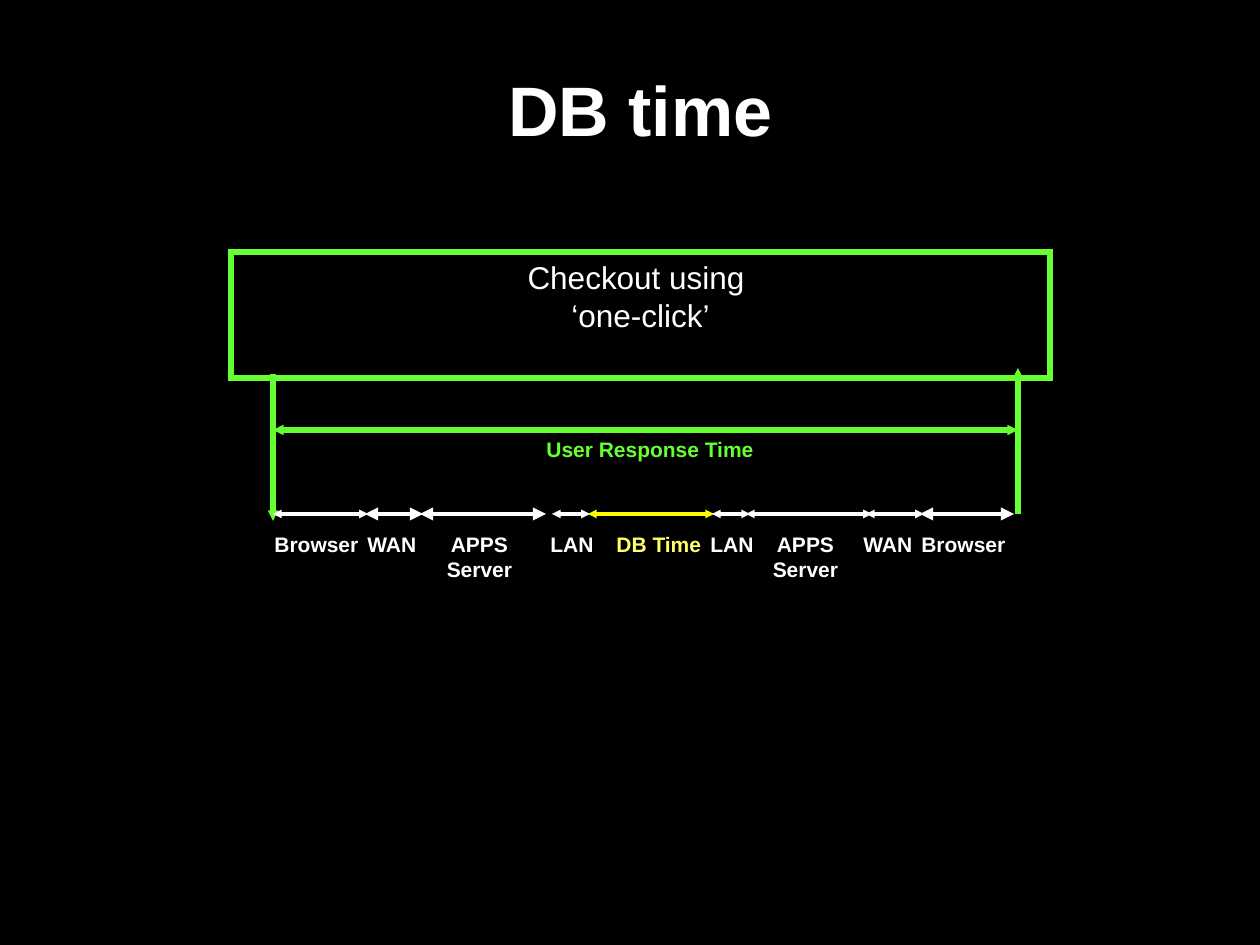
from dataclasses import dataclass

from lxml import etree
from pptx import Presentation
from pptx.dml.color import RGBColor
from pptx.enum.shapes import MSO_CONNECTOR, MSO_SHAPE
from pptx.enum.text import MSO_ANCHOR, MSO_AUTO_SIZE, PP_ALIGN
from pptx.oxml.ns import qn
from pptx.util import Pt

LEFT, CENTER = PP_ALIGN.LEFT, PP_ALIGN.CENTER
TOP, MIDDLE = MSO_ANCHOR.TOP, MSO_ANCHOR.MIDDLE
FIT_SHAPE = MSO_AUTO_SIZE.SHAPE_TO_FIT_TEXT
EMU_PER_PX = 914400 / 126


@dataclass(frozen=True)
class Theme:
    font: str = "Arial"
    black: RGBColor = RGBColor(0x00, 0x00, 0x00)
    white: RGBColor = RGBColor(0xFF, 0xFF, 0xFF)
    green: RGBColor = RGBColor(0x66, 0xFF, 0x33)
    yellow: RGBColor = RGBColor(0xFF, 0xFF, 0x00)
    pale_yellow: RGBColor = RGBColor(0xFF, 0xFF, 0x66)
    title_size: float = 40
    box_size: float = 18
    label_size: float = 12
    frame_line: float = 3
    segment_line: float = 2.5


THEME = Theme()

TITLE = "DB time"
REQUEST = "Checkout using \n‘one-click’"
RESPONSE = "User Response Time"
DB_LABEL = "DB Time"

# Label, arrow start, arrow end, label left, arrowhead size
SEGMENTS = [
    ("Browser", 273, 368, 262, "sm"),
    ("WAN", 365, 423, 355, "med"),
    ("APPS\nServer", 420, 546, 434, "med"),
    ("LAN", 552, 590, 538, "sm"),
    (DB_LABEL, 588, 714, 604, "sm"),
    ("LAN", 712, 750, 698, "sm"),
    ("APPS\nServer", 746, 872, 760, "sm"),
    ("WAN", 866, 924, 851, "sm"),
    ("Browser", 920, 1014, 909, "med"),
]
LABEL_WIDTHS = {"Browser": 110, "WAN": 76, "APPS\nServer": 91, "LAN": 68, DB_LABEL: 110}
LABEL_PADDING, LABEL_LINE = 13, 25

REQUEST_BOX = (231, 252, 819, 126)
TITLE_BOX = (168, 42, 945, 147)
RESPONSE_LABEL = (534, 430, 233, 38)
START_X, END_X = 273, 1018
RESPONSE_Y, SEGMENT_Y, LABEL_Y = 430, 514, 525


def px(value):
    return round(value * EMU_PER_PX)


def write(shape, text, size, color, bold=True, align=LEFT, anchor=TOP):
    frame = shape.text_frame
    frame.text = text
    frame.word_wrap = True
    frame.vertical_anchor = anchor
    for paragraph in frame.paragraphs:
        paragraph.alignment = align
        for run in paragraph.runs:
            run.font.name = THEME.font
            run.font.size = Pt(size)
            run.font.bold = bold
            run.font.color.rgb = color
    return frame


def add_label(slide, box, text, color, align=LEFT):
    """Add a small caption whose box grows with its unwrapped text."""
    label = slide.shapes.add_textbox(*map(px, box))
    frame = write(label, text, THEME.label_size, color, align=align)
    frame.word_wrap = False
    frame.auto_size = FIT_SHAPE


def add_arrow(slide, start, end, color, width, ends, head_size="sm"):
    """Draw a line; ends names the XML line ends that carry a triangle."""
    arrow = slide.shapes.add_connector(
        MSO_CONNECTOR.STRAIGHT, *map(px, (*start, *end)))
    arrow.line.color.rgb = color
    arrow.line.width = Pt(width)
    line = arrow.line._get_or_add_ln()
    for end_name in ends:
        etree.SubElement(line, qn(f"a:{end_name}"),
                         type="triangle", w=head_size, len=head_size)
    etree.SubElement(arrow._element.spPr, qn("a:effectLst"))


def add_request(slide):
    box = slide.shapes.add_shape(MSO_SHAPE.RECTANGLE, *map(px, REQUEST_BOX))
    box.shadow.inherit = False
    box.fill.background()
    box.line.color.rgb = THEME.green
    box.line.width = Pt(THEME.frame_line)
    etree.SubElement(box.line._get_or_add_ln(), qn("a:miter"), lim="800000")
    write(box, REQUEST, THEME.box_size, THEME.white, bold=False, align=CENTER)


def add_response(slide):
    arrows = [
        ((START_X, 374), (START_X, 521), ["tailEnd"]),
        ((END_X, 368), (END_X, SEGMENT_Y), ["headEnd"]),
        ((START_X, RESPONSE_Y), (END_X, RESPONSE_Y), ["headEnd", "tailEnd"]),
    ]
    for start, end, ends in arrows:
        add_arrow(slide, start, end, THEME.green, THEME.frame_line, ends)
    add_label(slide, RESPONSE_LABEL, RESPONSE, THEME.green)


def add_segments(slide):
    for label, start, end, left, head_size in SEGMENTS:
        is_db = label == DB_LABEL
        add_arrow(slide, (start, SEGMENT_Y), (end, SEGMENT_Y),
                  THEME.yellow if is_db else THEME.white,
                  THEME.segment_line, ["headEnd", "tailEnd"], head_size)
        lines = label.count("\n") + 1
        box = (left, LABEL_Y, LABEL_WIDTHS[label], LABEL_PADDING + LABEL_LINE * lines)
        add_label(slide, box, label, THEME.pale_yellow if is_db else THEME.white,
                  align=CENTER if lines > 1 else LEFT)


def add_title(slide):
    title = slide.shapes.add_textbox(*map(px, TITLE_BOX))
    frame = write(title, TITLE, THEME.title_size, THEME.white,
                  align=CENTER, anchor=MIDDLE)
    frame.margin_left = frame.margin_right = frame.margin_top = frame.margin_bottom = 0
    frame.paragraphs[0].line_spacing = 0.85


def main():
    presentation = Presentation()
    presentation.slide_width, presentation.slide_height = px(1260), px(945)
    slide = presentation.slides.add_slide(presentation.slide_layouts[6])
    slide.background.fill.solid()
    slide.background.fill.fore_color.rgb = THEME.black
    add_request(slide)
    add_response(slide)
    add_segments(slide)
    add_title(slide)
    presentation.save("out.pptx")


if __name__ == "__main__":
    main()
